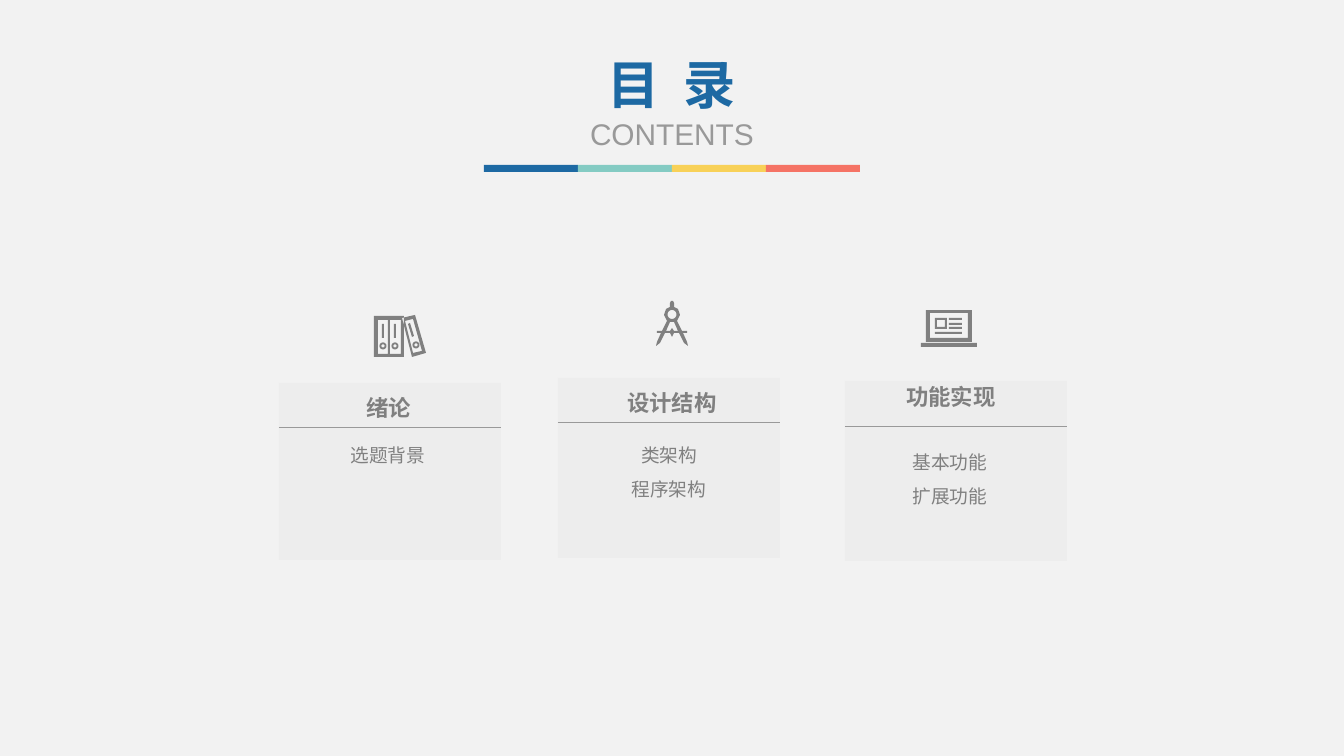
from math import cos, pi, sin

from lxml.etree import SubElement
from pptx import Presentation
from pptx.dml.color import RGBColor
from pptx.enum.shapes import MSO_CONNECTOR, MSO_SHAPE
from pptx.enum.text import MSO_ANCHOR, MSO_AUTO_SIZE, PP_ALIGN
from pptx.oxml.ns import qn
from pptx.util import Pt

PX = 914400 / 134.4
GREY, LIGHT_GREY, BLUE = "808080", "999999", "1D69A3"
STRIP_COLOURS = [BLUE, "84CBC3", "F8D158", "F57365"]
STRIP_LEFT, STRIP_TOP, STRIP_WIDTH, STRIP_HEIGHT = 484, 165, 94, 7
CARD_WIDTH = 222


def box(left, top, right, bottom):
    return [(left, top), (right, top), (right, bottom), (left, bottom)]


def disc(x, y, radius, steps=24):
    angles = [2 * pi * step / steps for step in range(steps)]
    return [(x + radius * cos(a), y + radius * sin(a)) for a in angles]


def ring(x, y):
    return [disc(x, y, 3.5), disc(x, y, 1.6)]


def mirrored(axis, half):
    right = [(axis + dx, y) for dx, y in half]
    return right + [(axis - dx, y) for dx, y in reversed(half)]


BINDERS = [
    box(374, 316, 404, 357), box(378, 320, 388, 354), box(390, 320, 401, 354),
    box(382, 324, 384, 338), box(394, 324, 396, 338),
    [(402, 318), (415, 315), (426, 353), (412, 357)],
    [(405, 321), (413, 319), (422, 351), (413, 353)],
    [(408, 324), (410, 323), (414, 336), (412, 337)],
    *ring(383, 346), *ring(395, 346), *ring(416, 345),
]
COMPASS = [
    mirrored(672, [(1, 301), (2, 303), (2, 307), (6, 309), (8, 315), (5, 321),
                   (10, 331), (15, 331), (15, 333), (11, 333), (15, 342),
                   (16, 346), (12, 343), (7, 333), (2, 333), (0, 337)]),
    mirrored(672, [(2, 322), (6, 331), (2, 331), (0, 328)]),
    disc(672, 314.5, 4.5),
]
LAPTOP = [
    box(926, 310, 972, 342), box(930, 313, 968, 338), box(921, 343, 977, 347),
    box(935, 318, 947, 329), box(937, 320, 945, 327), box(935, 332, 962, 334),
    *[box(949, top, 962, top + 2) for top in (318, 323, 327)],
]

CARDS = [
    dict(title="绪论", items=["选题背景"], icon=BINDERS, card=(279, 383, 177),
         rule=428, title_box=(305, 388, 167, 40), list_box=(337, 426, 102, 43)),
    dict(title="设计结构", items=["类架构", "程序架构"], icon=COMPASS, card=(558, 378, 180),
         rule=423, title_box=(613, 383, 118, 40), list_box=(618, 426, 102, 78)),
    dict(title="功能实现", items=["基本功能", "扩展功能"], icon=LAPTOP, card=(845, 381, 180),
         rule=427, title_box=(892, 377, 118, 40), list_box=(899, 433, 102, 77)),
]


def emu(*lengths):
    return [round(length * PX) for length in lengths]


def colour(value):
    return RGBColor.from_string(value)


def paint(shape, fill, opacity=100):
    shape.shadow.inherit = False
    shape.fill.solid()
    shape.fill.fore_color.rgb = colour(fill)
    shape.line.fill.background()
    if opacity < 100:
        fill_colour = shape._element.spPr.find(qn("a:solidFill"))[0]
        SubElement(fill_colour, qn("a:alpha")).set("val", str(opacity * 1000))


def add_rectangle(slide, bounds, fill, opacity=100):
    shape = slide.shapes.add_shape(MSO_SHAPE.RECTANGLE, *emu(*bounds))
    paint(shape, fill, opacity)


def add_icon(slide, contours):
    first, *others = [[emu(*point) for point in contour] for contour in contours]
    builder = slide.shapes.build_freeform(*first[0], scale=1.0)
    builder.add_line_segments(first[1:], close=True)
    for contour in others:
        builder.move_to(*contour[0])
        builder.add_line_segments(contour[1:], close=True)
    paint(builder.convert_to_shape(), GREY)


def add_rule(slide, left, y, width):
    rule = slide.shapes.add_connector(
        MSO_CONNECTOR.STRAIGHT, *emu(left, y, left + width, y))
    rule.line.color.rgb = colour(LIGHT_GREY)
    rule.line.width = Pt(0.5)
    SubElement(rule._element.spPr, qn("a:effectLst"))


def format_paragraph(paragraph, size, font, fill, bold=False):
    paragraph.alignment = PP_ALIGN.CENTER
    for run in paragraph.runs:
        run.font.size = Pt(size)
        run.font.name = font
        run.font.bold = bold
        run.font.color.rgb = colour(fill)


def add_text(slide, bounds, lines, size, bold=False, spacing=1.0):
    frame = slide.shapes.add_textbox(*emu(*bounds)).text_frame
    frame.text = "\n".join(lines)
    frame.word_wrap = False
    frame.auto_size = MSO_AUTO_SIZE.SHAPE_TO_FIT_TEXT
    for paragraph in frame.paragraphs:
        format_paragraph(paragraph, size, "Arial Narrow", GREY, bold)
        paragraph.line_spacing = spacing


def add_title(slide):
    title = slide.shapes.title
    title.left, title.top, title.width, title.height = emu(563, 46, 218, 113)
    frame = title.text_frame
    frame.text = "目  录\nCONTENTS"
    frame.vertical_anchor = MSO_ANCHOR.TOP
    frame.auto_size = MSO_AUTO_SIZE.SHAPE_TO_FIT_TEXT
    heading, subheading = frame.paragraphs
    format_paragraph(heading, 28, "Arial Narrow", BLUE, bold=True)
    format_paragraph(subheading, 16, "Arial", LIGHT_GREY)


def main():
    presentation = Presentation()
    presentation.slide_width, presentation.slide_height = emu(1344, 756)
    slide = presentation.slides.add_slide(presentation.slide_layouts[5])
    slide.background.fill.solid()
    slide.background.fill.fore_color.rgb = colour("F2F2F2")

    add_title(slide)
    for index, fill in enumerate(STRIP_COLOURS):
        left = STRIP_LEFT + index * STRIP_WIDTH
        add_rectangle(slide, (left, STRIP_TOP, STRIP_WIDTH, STRIP_HEIGHT), fill)

    for card in CARDS:
        left, top, height = card["card"]
        add_rectangle(slide, (left, top, CARD_WIDTH, height), "D9D9D9", opacity=20)
        add_rule(slide, left, card["rule"], CARD_WIDTH)
        add_icon(slide, card["icon"])
        add_text(slide, card["title_box"], [card["title"]], 12, bold=True)
        add_text(slide, card["list_box"], card["items"], 10, spacing=1.5)

    presentation.save("out.pptx")


if __name__ == "__main__":
    main()
